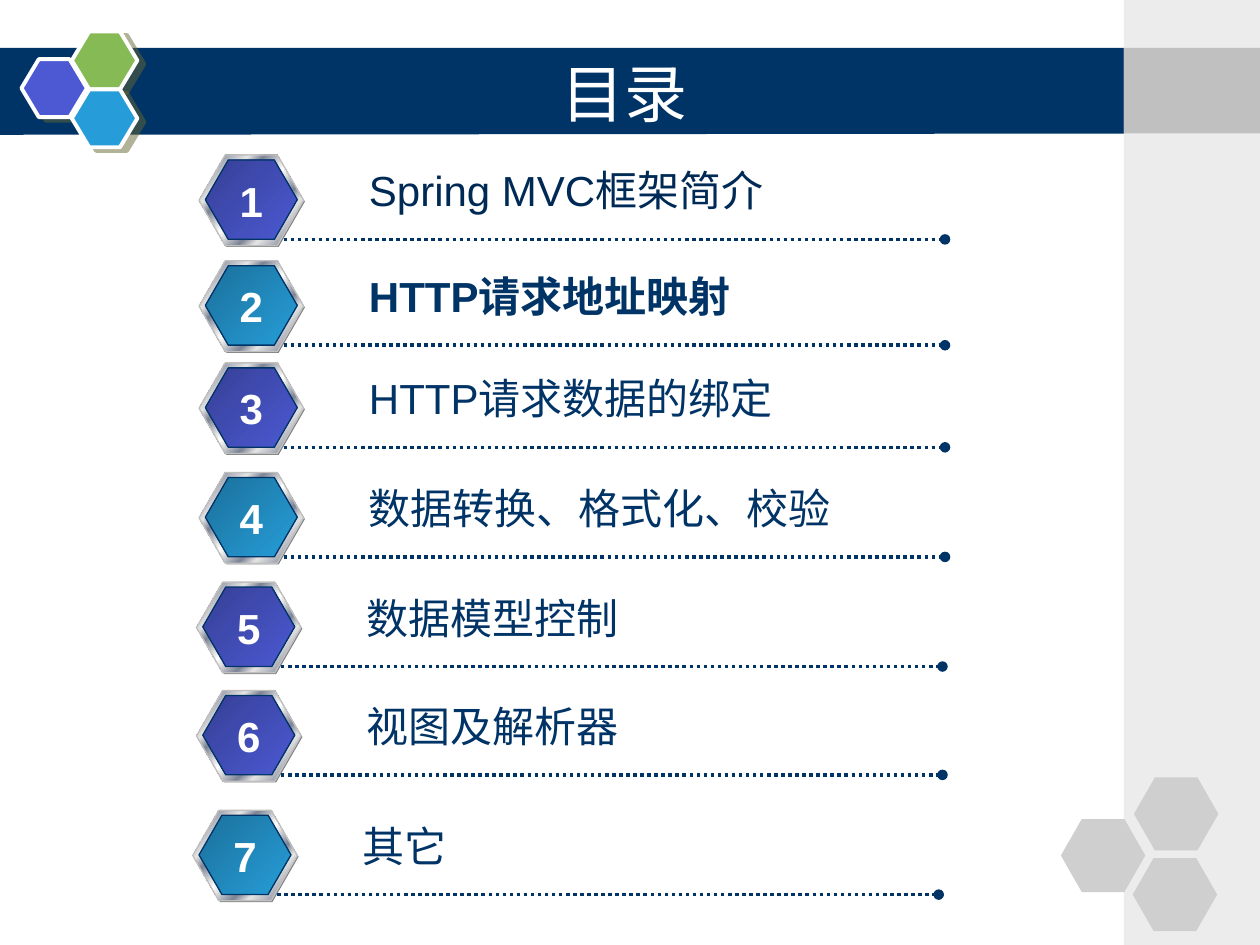
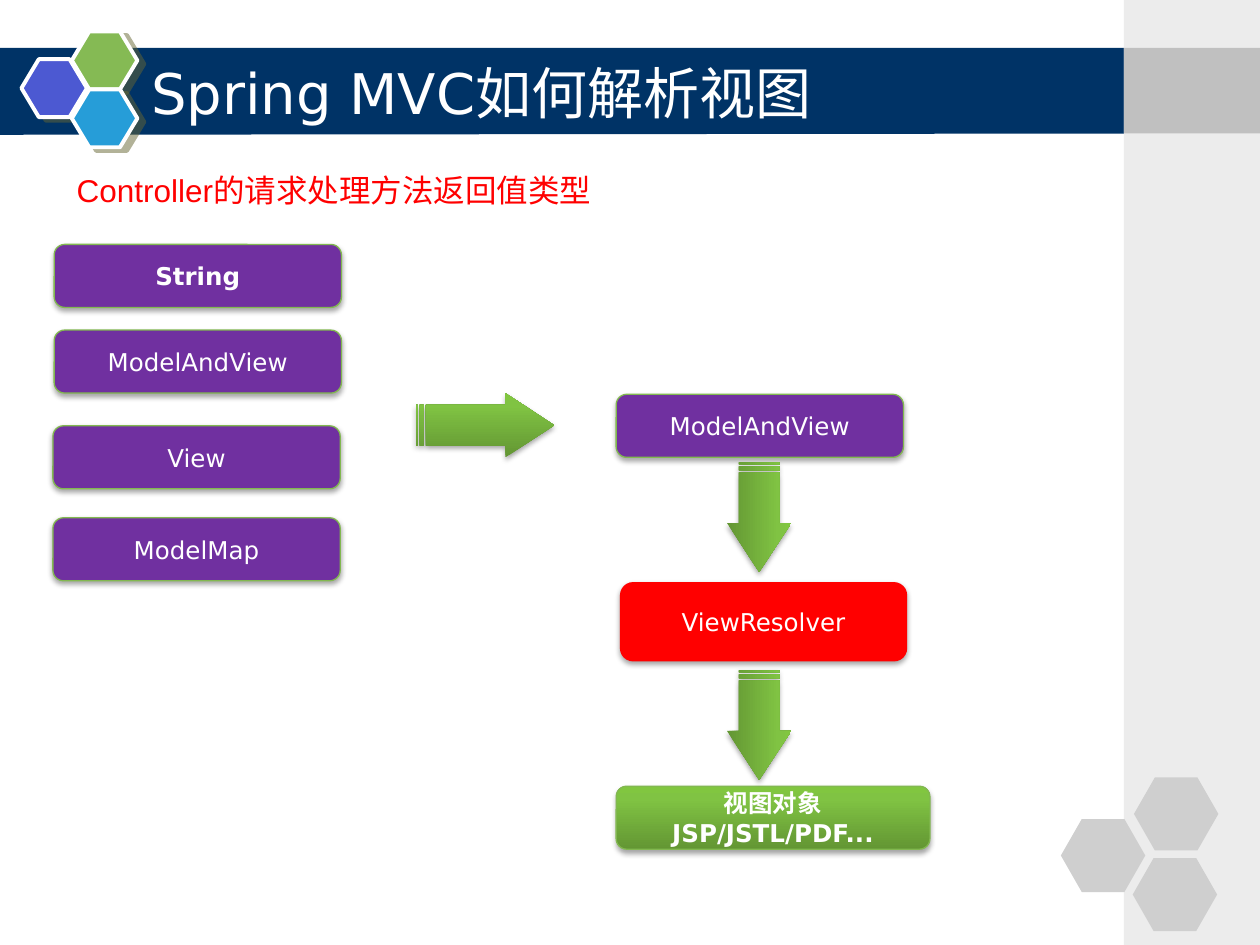
from lxml import etree
from pptx import Presentation
from pptx.dml.color import RGBColor
from pptx.enum.dml import MSO_LINE
from pptx.enum.shapes import MSO_CONNECTOR, MSO_SHAPE
from pptx.enum.text import MSO_ANCHOR, PP_ALIGN
from pptx.oxml.ns import qn
from pptx.util import Pt

PX = 9144  # 100 px to the inch
HEX, RECT, ROUND = MSO_SHAPE.HEXAGON, MSO_SHAPE.RECTANGLE, MSO_SHAPE.ROUNDED_RECTANGLE
ARROW = MSO_SHAPE.STRIPED_RIGHT_ARROW
STRAIGHT, DOTS = MSO_CONNECTOR.STRAIGHT, MSO_LINE.ROUND_DOT
LEFT, CENTER, MIDDLE = PP_ALIGN.LEFT, PP_ALIGN.CENTER, MSO_ANCHOR.MIDDLE

WHITE = RGBColor(0xFF, 0xFF, 0xFF)
BLACK = RGBColor(0x00, 0x00, 0x00)
NAVY = RGBColor(0x00, 0x33, 0x66)
DEEP = RGBColor(0x00, 0x2A, 0x56)
BLUE = RGBColor(0x4C, 0x59, 0xD2)
DUSK = RGBColor(0x36, 0x40, 0x96)
SKY = RGBColor(0x26, 0x9D, 0xD8)
TEAL = RGBColor(0x1B, 0x70, 0x9B)
LEAF = RGBColor(0x85, 0xBA, 0x54)
OLIVE = RGBColor(0x66, 0x66, 0x33)
PALE = RGBColor(0xEC, 0xEC, 0xEC)
SILVER = RGBColor(0xC0, 0xC0, 0xC0)
MIST = RGBColor(0xCF, 0xCF, 0xCF)
GRAY = RGBColor(0x80, 0x80, 0x80)
LIGHT = RGBColor(0xE6, 0xE6, 0xE6)
STEEL = RGBColor(0x7D, 0x84, 0x96)
RED = RGBColor(0xFF, 0x00, 0x00)
PURPLE = RGBColor(0x70, 0x30, 0xA0)
EDGE = RGBColor(0x82, 0xB8, 0x50)

# Gradients: angle, then (percent, colour) stops
METAL = 315, [(0, LIGHT), (8, STEEL), (26, LIGHT), (34, STEEL), (46, LIGHT), (50, WHITE),
              (54, LIGHT), (66, STEEL), (74, LIGHT), (92, STEEL), (100, LIGHT)]
INDIGO = 315, [(0, DUSK), (100, BLUE)]
OCEAN = 315, [(0, TEAL), (100, SKY)]
GREEN = 90, [(0, RGBColor(0x63, 0x96, 0x33)), (80, RGBColor(0x80, 0xC3, 0x43)),
             (100, RGBColor(0x81, 0xC6, 0x40))]

# Shadows: colour, opacity percent, blur, distance, direction
CAST = OLIVE, 50, 0, 4.5, 27
SOFT = BLACK, 35, 3.1, 1.8, 90

HEAD = {"name": "DejaVu Sans", "size": Pt(36)}
LABEL = {"name": "Arial", "size": Pt(24)}
STRONG = LABEL | {"bold": True}
NODE = {"name": "DejaVu Sans", "size": Pt(14)}


def draw(shapes, kind, box, fill, line=None, width=0.75, shade=None, adjust=()):
    """Add a preset shape; fill is a colour or a gradient."""
    shape = shapes.add_shape(kind, *(v * PX for v in box))
    for i, value in enumerate(adjust):
        shape.adjustments[i] = value
    if isinstance(fill, RGBColor):
        shape.fill.solid()
        shape.fill.fore_color.rgb = fill
    else:
        angle, stops = fill
        shape.fill.gradient()
        shape.fill.gradient_angle = angle
        ramp = shape.element.spPr.find(".//" + qn("a:gsLst"))
        ramp[:] = []
        for at, color in stops:
            stop = etree.SubElement(ramp, qn("a:gs"), pos=str(at * 1000))
            etree.SubElement(stop, qn("a:srgbClr"), val=str(color))
    if line:
        shape.line.color.rgb = line
        shape.line.width = Pt(width)
    else:
        shape.line.fill.background()
    shape.shadow.inherit = False
    if shade:
        color, alpha, blur, dist, turn = shade
        effect = shape.element.spPr.find(qn("a:effectLst"))
        outer = etree.SubElement(effect, qn("a:outerShdw"), blurRad=str(Pt(blur)),
                                 dist=str(Pt(dist)), dir=str(turn * 60000), rotWithShape="0")
        tint = etree.SubElement(outer, qn("a:srgbClr"), val=str(color))
        etree.SubElement(tint, qn("a:alpha"), val=str(alpha * 1000))
    return shape


def write(shape, text, look, color=WHITE, align=CENTER, wrap=True):
    frame = shape.text_frame
    frame.text = text
    frame.word_wrap = wrap
    for para in frame.paragraphs:
        para.alignment = align
        para.font.color.rgb = color
        for key, value in look.items():
            setattr(para.font, key, value)


deck = Presentation()
deck.slide_width, deck.slide_height = 1000 * PX, 750 * PX
layout = deck.slide_layouts[5]
agenda, views = (deck.slides.add_slide(layout) for _ in range(2))

# Shared backdrop, moved to the layout once drawn
shapes = agenda.shapes
pen = shapes.build_freeform(-3, 38, scale=PX)
pen.add_line_segments([(894, 38), (893, 106), (-3, 107)])
band = pen.convert_to_shape()
band.fill.solid()
band.fill.fore_color.rgb = NAVY
band.line.fill.background()
band.shadow.inherit = False
decor = [band]
for x, y, color in [(17, 47, BLUE), (57, 25, LEAF), (57, 71, SKY)]:
    decor.append(draw(shapes, HEX, (x, y, 52, 46), color, WHITE, 2.25, CAST, [0.3]))
decor.append(draw(shapes, RECT, (892, 0, 108, 750), PALE))
decor.append(draw(shapes, RECT, (892, 38, 108, 68), SILVER))
for x, y in [(842, 650), (900, 617), (899, 681)]:
    decor.append(draw(shapes, HEX, (x, y, 67, 58), MIST, adjust=[0.286]))
for item in decor:
    layout.shapes.element.append(item.element)

# Titles
for slide, x, wide, text, size, align in [
    (agenda, 125, 742, "目录", 36, CENTER),
    (views, 110, 862, "Spring MVC如何解析视图", 32, LEFT),
]:
    title = slide.shapes.title
    title.left, title.top, title.width, title.height = (v * PX for v in (x, 42, wide, 62))
    title.text_frame.vertical_anchor = MIDDLE
    write(title, text, HEAD | {"size": Pt(size)}, align=align)

# Agenda rows
rows = [
    (158, 123, INDIGO, "Spring MVC框架简介", LABEL, DEEP),
    (158, 207, OCEAN, "HTTP请求地址映射", STRONG, NAVY),
    (158, 288, INDIGO, "HTTP请求数据的绑定", LABEL, NAVY),
    (158, 375, OCEAN, "数据转换、格式化、校验", LABEL, NAVY),
    (156, 462, INDIGO, "数据模型控制", LABEL, NAVY),
    (156, 548, INDIGO, "视图及解析器", LABEL, NAVY),
    (153, 643, OCEAN, "其它", LABEL, NAVY),
]
for number, (x, y, fill, text, look, color) in enumerate(rows, 1):
    draw(shapes, HEX, (x + 1, y + 1, 83, 72), GRAY, adjust=[0.289])
    draw(shapes, HEX, (x, y, 83, 72), METAL, SILVER, adjust=[0.289])
    draw(shapes, HEX, (x + 5, y + 4, 73, 63), fill, NAVY, adjust=[0.289])
    ends = (x + 67, y + 67, x + 592, y + 67)
    rule = shapes.add_connector(STRAIGHT, *(v * PX for v in ends))
    rule.line.color.rgb = NAVY
    rule.line.width = Pt(2)
    rule.line.dash_style = DOTS
    props = rule.element.spPr
    etree.SubElement(props.find(qn("a:ln")), qn("a:tailEnd"), type="oval")
    etree.SubElement(props, qn("a:effectLst"))
    label = shapes.add_textbox(*(v * PX for v in (x + 125, y + 3, 460, 50)))
    write(label, text, look, color, LEFT)
    badge = shapes.add_textbox(*(v * PX for v in (x + 22, y + 11, 39, 50)))
    write(badge, str(number), STRONG, wrap=False)

# View resolution flow
shapes = views.shapes
BOLD = NODE | {"bold": True}
for box, fill, line, text, look in [
    ((492, 462, 228, 63), RED, None, "ViewResolver", NODE),
    ((489, 624, 249, 50), GREEN, EDGE, "视图对象\nJSP/JSTL/PDF...", BOLD),
    ((43, 194, 228, 50), PURPLE, EDGE, "String", BOLD),
    ((489, 313, 228, 50), PURPLE, EDGE, "ModelAndView", NODE),
    ((43, 262, 228, 50), PURPLE, EDGE, "ModelAndView", NODE),
    ((42, 338, 228, 50), PURPLE, EDGE, "View", NODE),
    ((42, 411, 228, 50), PURPLE, EDGE, "ModelMap", NODE),
]:
    node = draw(shapes, ROUND, box, fill, line, shade=SOFT)
    node.text_frame.vertical_anchor = MIDDLE
    write(node, text, look)

for box, turn in [((330, 312, 110, 51), 0), ((559, 385, 87, 51), 90), ((559, 550, 87, 51), 90)]:
    arrow = draw(shapes, ARROW, box, GREEN, shade=SOFT, adjust=[0.631, 0.762])
    arrow.rotation = turn

note = shapes.add_textbox(*(v * PX for v in (51, 131, 432, 40)))
write(note, "Controller的请求处理方法返回值类型", LABEL | {"size": Pt(18)}, RED, LEFT)

deck.save("out.pptx")
